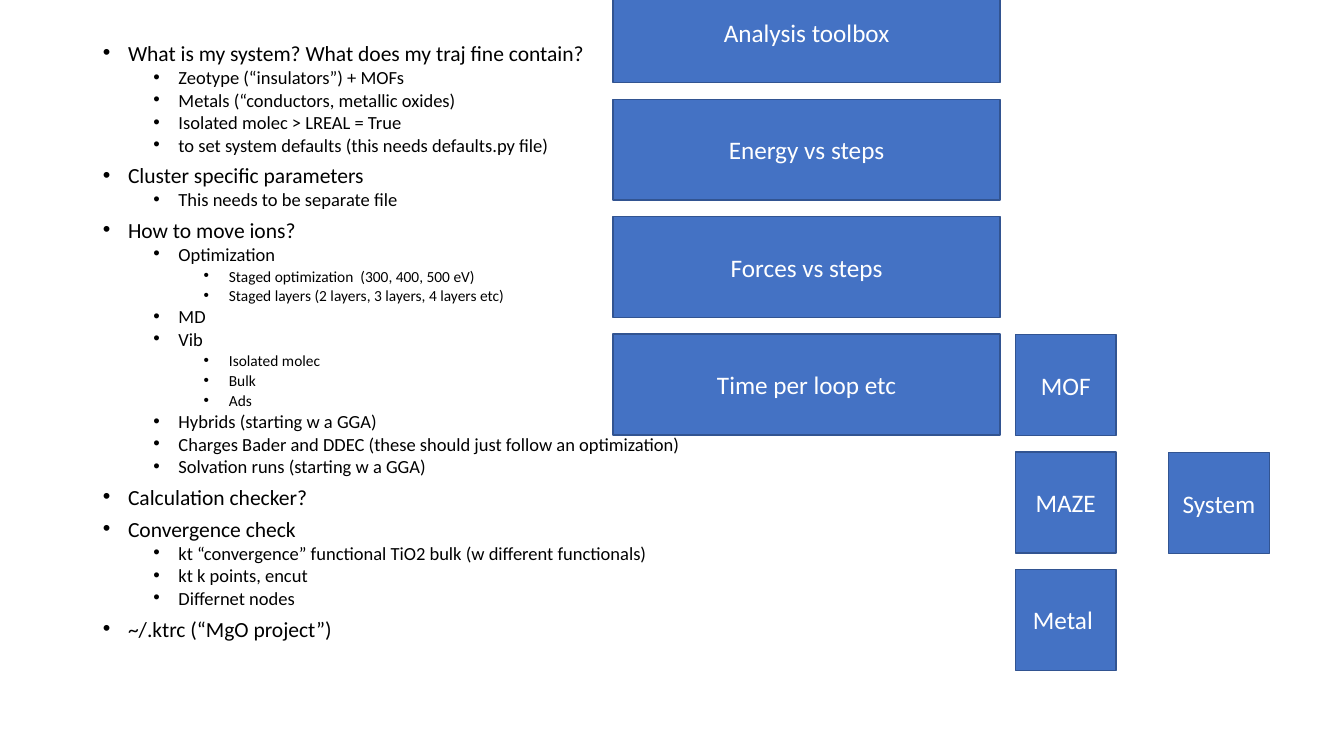
"""Build the slide of calculation planning notes and tool boxes."""
from lxml.etree import SubElement
from pptx import Presentation
from pptx.dml.color import RGBColor
from pptx.enum.shapes import MSO_SHAPE as Shape
from pptx.enum.text import MSO_ANCHOR as Anchor, MSO_AUTO_SIZE as AutoSize, PP_ALIGN as Align
from pptx.oxml.ns import qn
from pptx.util import Inches, Pt

BLUE = RGBColor(0x44, 0x72, 0xC4)
DARK_BLUE = RGBColor(0x32, 0x54, 0x91)
BLACK = RGBColor(0, 0, 0)
WHITE = RGBColor(255, 255, 255)
FONT = "Calibri"

NOTES = [
    (0, "What is my system? What does my traj fine contain?"),
    (1, "Zeotype (“insulators”) + MOFs"),
    (1, "Metals (“conductors, metallic oxides)"),
    (1, "Isolated molec > LREAL = True"),
    (1, "to set system defaults (this needs defaults.py file)"),
    (0, "Cluster specific parameters"),
    (1, "This needs to be separate file"),
    (0, "How to move ions?"),
    (1, "Optimization"),
    (2, "Staged optimization  (300, 400, 500 eV)"),
    (2, "Staged layers (2 layers, 3 layers, 4 layers etc)"),
    (1, "MD"),
    (1, "Vib"),
    (2, "Isolated molec"),
    (2, "Bulk"),
    (2, "Ads"),
    (1, "Hybrids (starting w a GGA)"),
    (1, "Charges Bader and DDEC (these should just follow an optimization)"),
    (1, "Solvation runs (starting w a GGA)"),
    (0, "Calculation checker?"),
    (0, "Convergence check"),
    (1, "kt “convergence” functional TiO2 bulk (w different functionals)"),
    (1, "kt k points, encut"),
    (1, "Differnet nodes"),
    (0, "~/.ktrc (“MgO project”)"),
]
LEVEL_SIZES = (15.4, 13.2, 11)
LEVEL_SPACING = (10, 5, 5)

BOX_COLUMNS = [
    (11.59, 4.49, 1, ["System"]),
    (10.07, 3.32, 1, ["MOF", "MAZE", "Metal "]),
    (6.08, -0.18, 3.84, ["Analysis toolbox", "Energy vs steps", "Forces vs steps",
                         "Time per loop etc"]),
]
BOX_HEIGHT = 1
BOX_STEP = 1.165


def write(paragraph, text, size, color, align=Align.LEFT):
    """Add formatted text to a paragraph."""
    paragraph.alignment = align
    run = paragraph.add_run()
    run.text = text
    run.font.name = FONT
    run.font.size = Pt(size)
    run.font.color.rgb = color


def add_bullet(paragraph, level):
    """Give a paragraph the bullet, indent and spacing of its level."""
    paragraph.level = level
    paragraph.line_spacing = 0.7
    paragraph.space_before = Pt(LEVEL_SPACING[level])
    properties = paragraph._p.get_or_add_pPr()
    properties.set("marL", str(Inches(0.25 + 0.5 * level)))
    properties.set("indent", str(Inches(-0.25)))
    SubElement(properties, qn("a:buFont"), typeface="Arial")
    SubElement(properties, qn("a:buChar"), char="•")


def add_notes(slide):
    """Fill the body placeholder with the bulleted notes."""
    body = slide.placeholders[1]
    body.left, body.top = Inches(0.92), Inches(0.42)
    body.width, body.height = Inches(11.5), Inches(6.33)
    frame = body.text_frame
    frame.word_wrap = True
    frame.auto_size = AutoSize.NONE
    frame.vertical_anchor = Anchor.TOP
    for index, (level, text) in enumerate(NOTES):
        paragraph = frame.add_paragraph() if index else frame.paragraphs[0]
        add_bullet(paragraph, level)
        write(paragraph, text, size=LEVEL_SIZES[level], color=BLACK)


def add_box(slide, label, left, top, width):
    """Add one labelled blue box."""
    box = slide.shapes.add_shape(Shape.RECTANGLE, Inches(left), Inches(top),
                                 Inches(width), Inches(BOX_HEIGHT))
    box.shadow.inherit = False
    box.fill.solid()
    box.fill.fore_color.rgb = BLUE
    box.line.color.rgb = DARK_BLUE
    box.line.width = Pt(1)
    frame = box.text_frame
    frame.word_wrap = True
    frame.vertical_anchor = Anchor.MIDDLE
    write(frame.paragraphs[0], label, size=18, color=WHITE, align=Align.CENTER)


def main():
    """Create and save the presentation."""
    presentation = Presentation()
    presentation.slide_width = Inches(13.33)
    presentation.slide_height = Inches(7.5)
    slide = presentation.slides.add_slide(presentation.slide_layouts[1])
    title = slide.shapes.title._element
    title.getparent().remove(title)
    add_notes(slide)
    for left, top, width, labels in BOX_COLUMNS:
        for row, label in enumerate(labels):
            add_box(slide, label, left, top + row * BOX_STEP, width)
    presentation.save("out.pptx")


if __name__ == "__main__":
    main()
